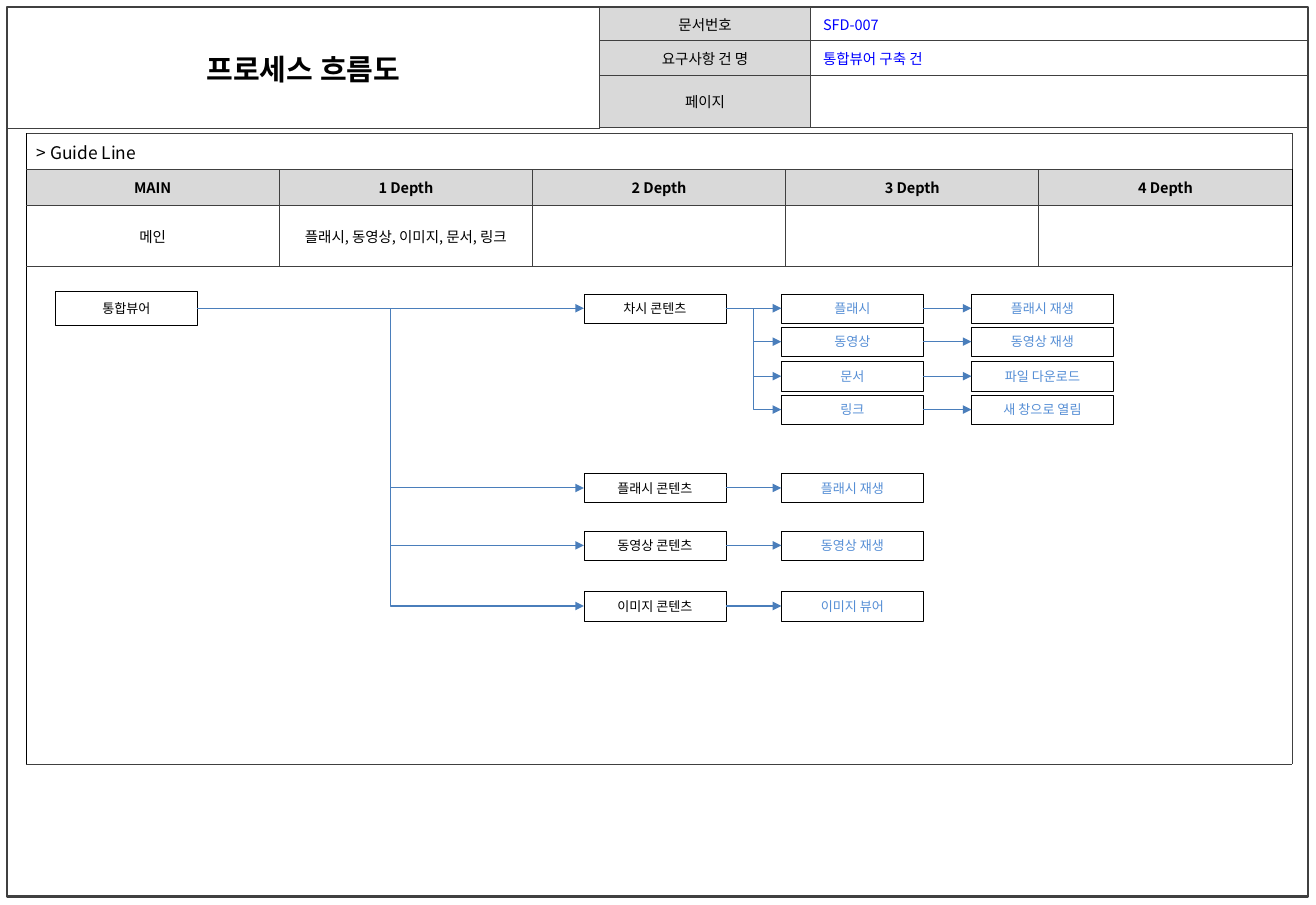
"""Build the process flow slide: document header, depth table and viewer flow."""
from lxml import etree
from pptx import Presentation
from pptx import util as u
from pptx.dml.color import RGBColor
from pptx.enum import shapes, text
from pptx.oxml import ns

PX = 9144
FACE = "Noto Sans CJK KR"
BLACK, GRAY, WHITE, EDGE = "000000", "D9D9D9", "FFFFFF", "404040"
BLUE, SKY, WIRE = "0000FF", "558ED5", "4A7EBB"

SIZE_CM = (32, 22)
FRAME = (7, 7, 1245, 851)
TITLE = "프로세스 흐름도"
HEAD = [("문서번호", "SFD-007"), ("요구사항 건 명", "통합뷰어 구축 건"), ("페이지", "")]
HEAD_AT, HEAD_COLS, HEAD_ROWS = (7, 7), (567, 202, 476), (32, 33, 50)
GUIDE = "> Guide Line"
DEPTHS = ["MAIN", "1 Depth", "2 Depth", "3 Depth", "4 Depth"]
ITEMS = ["메인", "플래시, 동영상, 이미지, 문서, 링크", "", "", ""]
GUIDE_AT, GUIDE_COLS, GUIDE_ROWS = (25, 128), (242.4,) * 5, (34, 34, 59, 476)

ROOT = "통합뷰어"
FLOW = [
    ("차시 콘텐츠", 295, [("플래시", "플래시 재생"), ("동영상", "동영상 재생"),
                     ("문서", "파일 다운로드"), ("링크", "새 창으로 열림")]),
    ("플래시 콘텐츠", 467, [("플래시 재생",)]),
    ("동영상 콘텐츠", 522, [("동영상 재생",)]),
    ("이미지 콘텐츠", 580, [("이미지 뷰어",)]),
]
ROOT_X, TOPIC_X, LEAF_X = 53, 559, (748, 930)
BOX_W, BOX_H, ROOT_H, STEP = 136, 28, 32, 32.4


def emu(*vals):
    return [round(v * PX) for v in vals]


def rgb(hexa):
    return RGBColor.from_string(hexa)


def paint(obj, fill, line, width):
    if fill:
        obj.fill.solid()
        obj.fill.fore_color.rgb = rgb(fill)
    else:
        obj.fill.background()
    obj.line.color.rgb = rgb(line)
    obj.line.width = u.Pt(width)


def write(frame, words, color=BLACK, align="CENTER", **fmt):
    para = frame.paragraphs[0]
    para.alignment = getattr(text.PP_ALIGN, align)
    run = para.add_run()
    run.text = words
    run.font.color.rgb = rgb(color)
    for key, val in {"name": FACE, "size": u.Pt(10), "bold": False, **fmt}.items():
        setattr(run.font, key, val)
    etree.SubElement(run.font._element, ns.qn("a:ea"), typeface=FACE)


def border(cell, sides):
    props = cell._tc.get_or_add_tcPr()
    for side in "LRTB":
        color, width = sides[side]
        line = etree.SubElement(props, ns.qn("a:ln" + side), w=str(u.Pt(width)))
        solid = etree.SubElement(line, ns.qn("a:solidFill"))
        etree.SubElement(solid, ns.qn("a:srgbClr"), val=color)


def add_grid(slide, at, cols, rows, flank, cap):
    table = slide.shapes.add_table(
        len(rows), len(cols), *emu(*at, sum(cols), sum(rows))).table
    table.first_row = table.horz_banding = False
    for col, width in zip(table.columns, emu(*cols)):
        col.width = width
    for row, height in zip(table.rows, emu(*rows)):
        row.height = height
    thin = (EDGE, 0.45)
    for r in range(len(rows)):
        for c in range(len(cols)):
            cell = table.cell(r, c)
            border(cell, {"L": thin if c else flank,
                          "R": flank if c == len(cols) - 1 else thin,
                          "T": thin if r else cap,
                          "B": cap if r == len(rows) - 1 else thin})
            cell.vertical_anchor = text.MSO_ANCHOR.MIDDLE
            shade(cell, WHITE)
            cell.text_frame.paragraphs[0].font.size = u.Pt(10)
    return table


def shade(cell, color):
    cell.fill.solid()
    cell.fill.fore_color.rgb = rgb(color)


def add_head(slide):
    rim = (EDGE, 0.75)
    table = add_grid(slide, HEAD_AT, HEAD_COLS, HEAD_ROWS, rim, rim)
    table.cell(0, 0).merge(table.cell(2, 0))
    write(table.cell(0, 0).text_frame, TITLE, size=u.Pt(20), bold=True)
    for r, (label, value) in enumerate(HEAD):
        name, info = table.cell(r, 1), table.cell(r, 2)
        shade(name, GRAY)
        write(name.text_frame, label)
        info.margin_left = emu(12)[0]
        if value:
            write(info.text_frame, value, BLUE, "LEFT")


def add_guide(slide):
    table = add_grid(slide, GUIDE_AT, GUIDE_COLS, GUIDE_ROWS, (BLACK, 0.45), (EDGE, 0.45))
    for r in (0, 3):
        table.cell(r, 0).merge(table.cell(r, 4))
    write(table.cell(0, 0).text_frame, GUIDE, align="LEFT", size=u.Pt(12))
    for c, (depth, item) in enumerate(zip(DEPTHS, ITEMS)):
        shade(table.cell(1, c), GRAY)
        write(table.cell(1, c).text_frame, depth, bold=True)
        if item:
            write(table.cell(2, c).text_frame, item)


def add_box(slide, words, x, mid, color=BLACK, height=BOX_H):
    box = slide.shapes.add_shape(
        shapes.MSO_SHAPE.RECTANGLE, *emu(x, mid - height / 2, BOX_W, height))
    box.shadow.inherit = False
    paint(box, WHITE, BLACK, 0.11)
    box.text_frame.word_wrap = True
    box.text_frame.vertical_anchor = text.MSO_ANCHOR.MIDDLE
    write(box.text_frame, words, color, size=u.Pt(9))
    return box


def link(slide, src, dst):
    level = src.top + src.height // 2 == dst.top + dst.height // 2
    kind = shapes.MSO_CONNECTOR.STRAIGHT if level else shapes.MSO_CONNECTOR.ELBOW
    wire = slide.shapes.add_connector(kind, 0, 0, 0, 0)
    wire.begin_connect(src, 3)
    wire.end_connect(dst, 1)
    wire.line.color.rgb = rgb(WIRE)
    wire.line.width = u.Pt(0.75)
    etree.SubElement(wire.line._get_or_add_ln(), ns.qn("a:tailEnd"), type="triangle")
    etree.SubElement(wire._element.spPr, ns.qn("a:effectLst"))


def add_flow(slide):
    root = add_box(slide, ROOT, ROOT_X, FLOW[0][1], height=ROOT_H)
    for name, mid, chains in FLOW:
        topic = add_box(slide, name, TOPIC_X, mid)
        link(slide, root, topic)
        for i, chain in enumerate(chains):
            last = topic
            for x, words in zip(LEAF_X, chain):
                leaf = add_box(slide, words, x, mid + round(i * STEP), SKY)
                link(slide, last, leaf)
                last = leaf


def main():
    deck = Presentation()
    deck.slide_width, deck.slide_height = [u.Cm(side) for side in SIZE_CM]
    slide = deck.slides.add_slide(deck.slide_layouts[6])
    frame = slide.shapes.add_shape(shapes.MSO_SHAPE.RECTANGLE, *emu(*FRAME))
    frame.shadow.inherit = False
    paint(frame, None, EDGE, 1.5)
    add_head(slide)
    add_guide(slide)
    add_flow(slide)
    deck.save("out.pptx")


if __name__ == "__main__":
    main()
